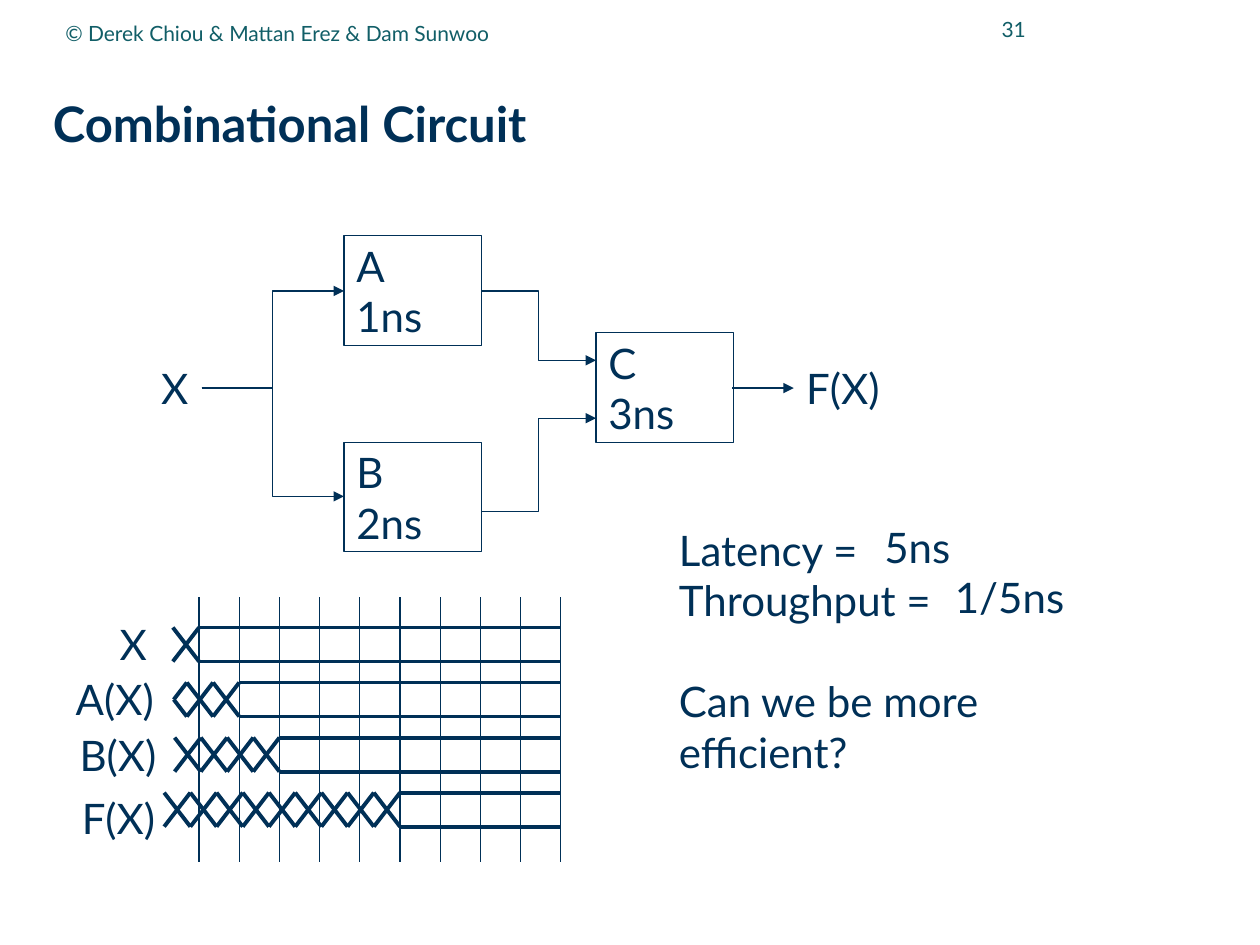
from lxml import etree
from pptx import Presentation
from pptx import util as u
from pptx.dml.color import RGBColor
from pptx.enum import shapes, text
from pptx.oxml import ns

NAVY, TEAL, WHITE = "003057", "115E67", "FFFFFF"
FONT = "Lato"

TICK_LEFT, TICK_STEP, TICK_COUNT = 1.58, 0.319, 10
TICK_TOP, TICK_BOTTOM = 4.74, 6.84
WAVE_TOP, WAVE_STEP, WAVE_HEIGHT = 4.98, 0.437, 0.27
CROSS_STEP = 0.208

# Tick at which the signal becomes valid, number of half crosses before it
WAVES = [(0, 2), (1, 5), (2, 8), (5, 18)]


def color(value):
    return RGBColor.from_string(value)


def inches(*values):
    return [u.Inches(value) for value in values]


def write(shape, *lines, size=24, fill=NAVY, bold=False, align=text.PP_ALIGN.LEFT,
          anchor=text.MSO_ANCHOR.TOP, wrap=False):
    frame = shape.text_frame
    frame.word_wrap = wrap
    frame.vertical_anchor = anchor
    for index, line in enumerate(lines):
        paragraph = frame.add_paragraph() if index else frame.paragraphs[0]
        paragraph.alignment = align
        run = paragraph.add_run()
        run.text = line
        run.font.name = FONT
        run.font.size = u.Pt(size)
        run.font.bold = bold
        run.font.color.rgb = color(fill)
    return frame


def add_text(slide, box, *lines, **style):
    return write(slide.shapes.add_textbox(*inches(*box)), *lines, **style)


def add_box(slide, box, *lines, fill=None, line=None):
    shape = slide.shapes.add_shape(shapes.MSO_SHAPE.RECTANGLE, *inches(*box))
    shape.shadow.inherit = False
    if fill:
        shape.fill.solid()
        shape.fill.fore_color.rgb = color(fill)
    else:
        shape.fill.background()
    if line:
        shape.line.color.rgb = color(line)
        shape.line.width = u.Pt(0.75)
    else:
        shape.line.fill.background()
    write(shape, *lines, anchor=text.MSO_ANCHOR.MIDDLE)


def add_line(slide, start, end, width=0.75, kind=shapes.MSO_CONNECTOR.STRAIGHT, arrow=False):
    connector = slide.shapes.add_connector(kind, *inches(*start, *end))
    connector.line.color.rgb = color(NAVY)
    connector.line.width = u.Pt(width)
    if arrow:
        line = connector.line._get_or_add_ln()
        etree.SubElement(line, ns.qn("a:tailEnd"), type="triangle")
    etree.SubElement(connector._element.spPr, ns.qn("a:effectLst"))


def add_header(slide):
    title = slide.shapes.title
    title.left, title.top, title.width, title.height = inches(0.42, 0.5, 9.41, 0.98)
    frame = write(title, "Combinational Circuit", size=28, bold=True,
                  anchor=text.MSO_ANCHOR.MIDDLE, wrap=True)
    frame.margin_left = frame.margin_right = frame.margin_top = frame.margin_bottom = 0
    frame.paragraphs[0].line_spacing = 0.99
    small = dict(size=12, fill=TEAL, anchor=text.MSO_ANCHOR.MIDDLE, wrap=True)
    add_text(slide, (7.33, -0.02, 0.91, 0.5), "31", align=text.PP_ALIGN.RIGHT, **small)
    add_text(slide, (0.42, 0.03, 5.67, 0.46),
             "© Derek Chiou & Mattan Erez & Dam Sunwoo", **small)


def add_circuit(slide):
    blocks = [(2.73, 1.87, "A", "1ns"), (2.73, 3.51, "B", "2ns"), (4.73, 2.64, "C", "3ns")]
    for left, top, name, delay in blocks:
        add_box(slide, (left, top, 1.09, 0.87), name, delay, line=NAVY)
    wires = [((1.6, 3.08), (2.73, 2.31)), ((1.6, 3.08), (2.73, 3.94)),
             ((3.82, 2.31), (4.73, 2.86)), ((3.82, 4.06), (4.73, 3.32))]
    for start, end in wires:
        add_line(slide, start, end, kind=shapes.MSO_CONNECTOR.ELBOW, arrow=True)
    add_line(slide, (5.81, 3.08), (6.3, 3.08), arrow=True)
    add_text(slide, (1.18, 2.83, 0.42, 0.5), "X")
    add_text(slide, (6.3, 2.83, 0.81, 0.5), "F(X)")


def add_wave(slide, top, valid_tick, half_crosses):
    """Draw crosses while the signal changes, then two rails once it is valid."""
    valid = TICK_LEFT + valid_tick * TICK_STEP
    right = TICK_LEFT + (TICK_COUNT - 1) * TICK_STEP
    middle = top + WAVE_HEIGHT / 2
    for rail in (top, top + WAVE_HEIGHT):
        add_line(slide, (valid, rail), (right, rail), width=2.25)
        for half in range(half_crosses):
            center = valid - CROSS_STEP * (half // 2 + 0.5)
            side = -1 if half % 2 else 1
            add_line(slide, (center, middle), (center + side * CROSS_STEP / 2, rail), width=2.25)


def add_timing_diagram(slide):
    for tick in range(TICK_COUNT):
        x = TICK_LEFT + tick * TICK_STEP
        add_line(slide, (x, TICK_TOP), (x, TICK_BOTTOM))
    for row, (valid_tick, half_crosses) in enumerate(WAVES):
        add_wave(slide, WAVE_TOP + row * WAVE_STEP, valid_tick, half_crosses)
    add_text(slide, (0.85, 4.86, 0.42, 0.5), "X")
    labels = [(0.45, 5.3, 0.87, "A(X)"), (0.47, 5.74, 0.87, "B(X)"), (0.52, 6.24, 0.81, "F(X)")]
    for left, top, width, label in labels:
        add_text(slide, (left, top, width, 0.5), label, align=text.PP_ALIGN.RIGHT)


def add_results(slide):
    frame = add_text(slide, (5.29, 4.11, 3.99, 1.72), "Latency =", "Throughput =",
                     "Can we be more efficient?", wrap=True)
    frame.margin_right = u.Inches(0.5)
    frame.paragraphs[-1].space_before = u.Pt(29)
    add_box(slide, (6.92, 4.11, 0.56, 0.45), "5ns", fill=WHITE)
    add_box(slide, (7.48, 4.51, 0.68, 0.45), "1/5ns", fill=WHITE)


def main():
    presentation = Presentation()
    presentation.slide_width, presentation.slide_height = inches(10, 7.5)
    slide = presentation.slides.add_slide(presentation.slide_layouts[5])
    add_header(slide)
    add_circuit(slide)
    add_timing_diagram(slide)
    add_results(slide)
    presentation.save("out.pptx")


if __name__ == "__main__":
    main()
